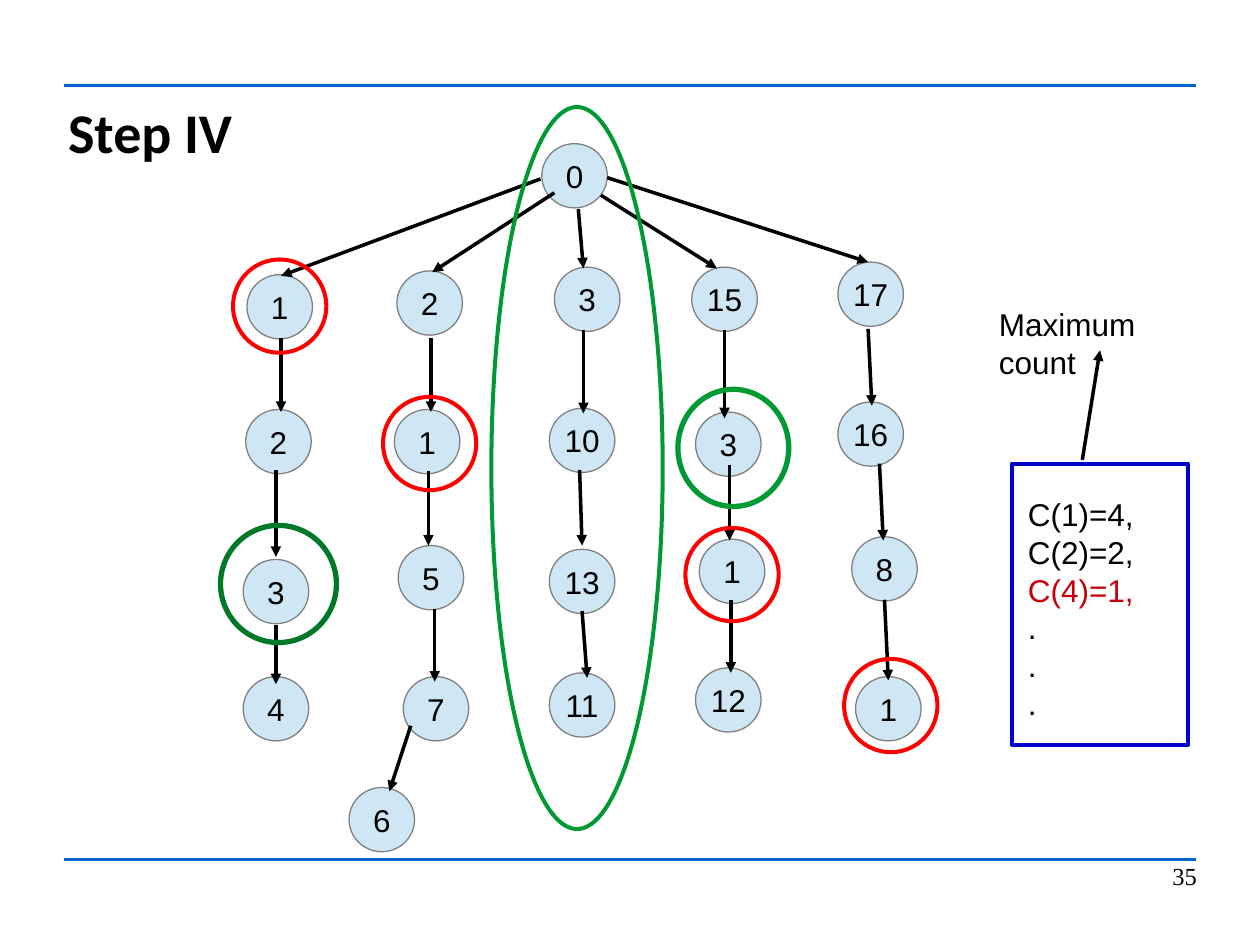
from pptx import Presentation
from pptx.dml.color import RGBColor
from pptx.enum.shapes import MSO_CONNECTOR, MSO_SHAPE
from pptx.enum.text import MSO_ANCHOR, PP_ALIGN
from pptx.oxml.ns import qn
from pptx.util import Inches, Pt
from lxml import etree

STRAIGHT = MSO_CONNECTOR.STRAIGHT
OVAL, RECTANGLE = MSO_SHAPE.OVAL, MSO_SHAPE.RECTANGLE
MIDDLE, TOP = MSO_ANCHOR.MIDDLE, MSO_ANCHOR.TOP
LEFT, CENTER, RIGHT = PP_ALIGN.LEFT, PP_ALIGN.CENTER, PP_ALIGN.RIGHT

BLACK = RGBColor(0x00, 0x00, 0x00)
GRAY = RGBColor(0x80, 0x80, 0x80)
PALE_BLUE = RGBColor(0xCF, 0xE7, 0xF5)
RULE_BLUE = RGBColor(0x00, 0x66, 0xCC)
FRAME_BLUE = RGBColor(0x00, 0x00, 0xCC)
RED = RGBColor(0xFF, 0x00, 0x00)
DARK_RED = RGBColor(0xC5, 0x00, 0x0B)
GREEN = RGBColor(0x00, 0x99, 0x33)
DARK_GREEN = RGBColor(0x00, 0x78, 0x26)

NODE_SIZE = (0.52, 0.51)
RING_SIZE = (0.74, 0.74)

ROOT = ("0", 4.3, 1.14)
BRANCHES = [
    [("1", 1.96, 2.18), ("2", 1.95, 3.25), ("3", 1.93, 4.44), ("4", 1.93, 5.37)],
    [("2", 3.15, 2.15), ("1", 3.13, 3.25), ("5", 3.16, 4.33), ("7", 3.2, 5.37),
     ("6", 2.77, 6.25)],
    [("3", 4.4, 2.12), ("10", 4.36, 3.24), ("13", 4.36, 4.36), ("11", 4.36, 5.34)],
    [("15", 5.49, 2.12), ("3", 5.52, 3.27), ("1", 5.55, 4.28), ("12", 5.52, 5.3)],
    [("17", 6.65, 2.08), ("16", 6.65, 3.19), ("8", 6.76, 4.26), ("1", 6.79, 5.37)],
]
BRANCH_ARROWS = [
    [(4.29, 1.42, 2.23, 2.19), (2.23, 2.68, 2.23, 3.27),
     (2.19, 3.73, 2.19, 4.42), (2.19, 4.96, 2.19, 5.43)],
    [(4.4, 1.53, 3.43, 2.16), (3.42, 2.68, 3.42, 3.27), (3.4, 3.74, 3.4, 4.33),
     (3.45, 4.83, 3.45, 5.41), (3.26, 5.76, 3.09, 6.28)],
    [(4.59, 1.66, 4.63, 2.13), (4.63, 2.62, 4.63, 3.28),
     (4.6, 3.73, 4.62, 4.33), (4.62, 4.85, 4.66, 5.38)],
    [(4.77, 1.55, 5.69, 2.13), (5.75, 2.62, 5.75, 3.32),
     (5.79, 3.69, 5.79, 4.29), (5.8, 4.76, 5.8, 5.34)],
    [(4.82, 1.41, 6.89, 2.08), (6.89, 2.61, 6.92, 3.22),
     (6.98, 3.68, 7.01, 4.29), (7.02, 4.76, 7.05, 5.4)],
]
ITEM_RINGS = [(1.85, 2.06), (3.04, 3.15), (5.44, 4.19), (6.7, 5.23)]
COUNTS = ["C(1)=4,", "C(2)=2,", "C(4)=1,", ".", ".", "."]


class TreeSlide:
    """Draws the elements of a tree diagram in one style on the current slide."""

    def __init__(self, slide):
        self.slide = slide
        self.shapes = slide.shapes

    def format_text(self, frame, size=18, font="Arial", align=LEFT, bold=False):
        for paragraph in frame.paragraphs:
            paragraph.alignment = align
            for run in paragraph.runs:
                run.font.name = font
                run.font.size = Pt(size)
                run.font.bold = bold
                run.font.color.rgb = BLACK

    def set_margins(self, frame, horizontal, vertical):
        frame.margin_left = frame.margin_right = Inches(horizontal)
        frame.margin_top = frame.margin_bottom = Inches(vertical)

    def title(self, text, box):
        heading = self.shapes.title
        heading.left, heading.top, heading.width, heading.height = map(Inches, box)
        frame = heading.text_frame
        frame.text = text
        frame.vertical_anchor = MIDDLE
        self.set_margins(frame, 0, 0)
        self.format_text(frame, 32, "Calibri", bold=True)

    def line(self, ends, color=BLACK, width=0, arrow=False):
        connector = self.shapes.add_connector(STRAIGHT, *map(Inches, ends))
        connector.line.color.rgb = color
        connector.line.width = Pt(width)
        if arrow:
            outline = connector.line._get_or_add_ln()
            etree.SubElement(outline, qn("a:tailEnd"), type="triangle")
        etree.SubElement(connector._element.spPr, qn("a:effectLst"))

    def outline(self, kind, box, color, width):
        shape = self.shapes.add_shape(kind, *map(Inches, box))
        shape.shadow.inherit = False
        shape.fill.background()
        shape.line.color.rgb = color
        shape.line.width = Pt(width)
        return shape

    def node(self, label, left, top):
        circle = self.outline(OVAL, (left, top, *NODE_SIZE), GRAY, 0)
        circle.fill.solid()
        circle.fill.fore_color.rgb = PALE_BLUE
        frame = circle.text_frame
        frame.text = label
        frame.word_wrap = False
        frame.vertical_anchor = MIDDLE
        self.set_margins(frame, 0.1, 0.05)
        self.format_text(frame, align=CENTER)

    def text(self, text, box, margins=(0.1, 0.05), wrap=True, **style):
        frame = self.shapes.add_textbox(*map(Inches, box)).text_frame
        frame.text = text
        frame.word_wrap = wrap
        frame.vertical_anchor = TOP
        self.set_margins(frame, *margins)
        self.format_text(frame, **style)
        return frame


def main():
    deck = Presentation()
    deck.slide_width, deck.slide_height = Inches(10), Inches(7.5)
    tree = TreeSlide(deck.slides.add_slide(deck.slide_layouts[5]))

    for height in (0.68, 6.82):
        tree.line((0.51, height, 9.49, height), RULE_BLUE, 2)
    tree.title("Step IV", (0.54, 0.75, 8.92, 0.58))

    tree.node(*ROOT)
    for branch in BRANCHES:
        for node in branch:
            tree.node(*node)
    for arrows in BRANCH_ARROWS:
        for ends in arrows:
            tree.line(ends, arrow=True)

    for corner in ITEM_RINGS:
        tree.outline(OVAL, (*corner, *RING_SIZE), RED, 2.3)

    counts = tree.text("\n".join(COUNTS), (8.06, 3.88, 1.45, 1.78))
    counts.paragraphs[2].runs[0].font.color.rgb = DARK_RED
    tree.outline(RECTANGLE, (8.03, 3.68, 1.4, 2.23), FRAME_BLUE, 2.3)

    tree.outline(OVAL, (3.9, 0.85, 1.36, 5.73), GREEN, 2.3)
    tree.outline(OVAL, (1.75, 4.17, 0.92, 0.93), DARK_GREEN, 3)
    tree.outline(OVAL, (5.38, 3.09, 0.88, 0.93), GREEN, 3)

    tree.line((8.59, 3.65, 8.73, 2.78), arrow=True)
    tree.text("Maximum count", (7.83, 2.37, 1.96, 0.38), wrap=False)
    tree.text("35", (7.17, 6.83, 2.33, 0.52), margins=(0, 0), size=14,
              font="Times New Roman", align=RIGHT)

    deck.save("out.pptx")


if __name__ == "__main__":
    main()
